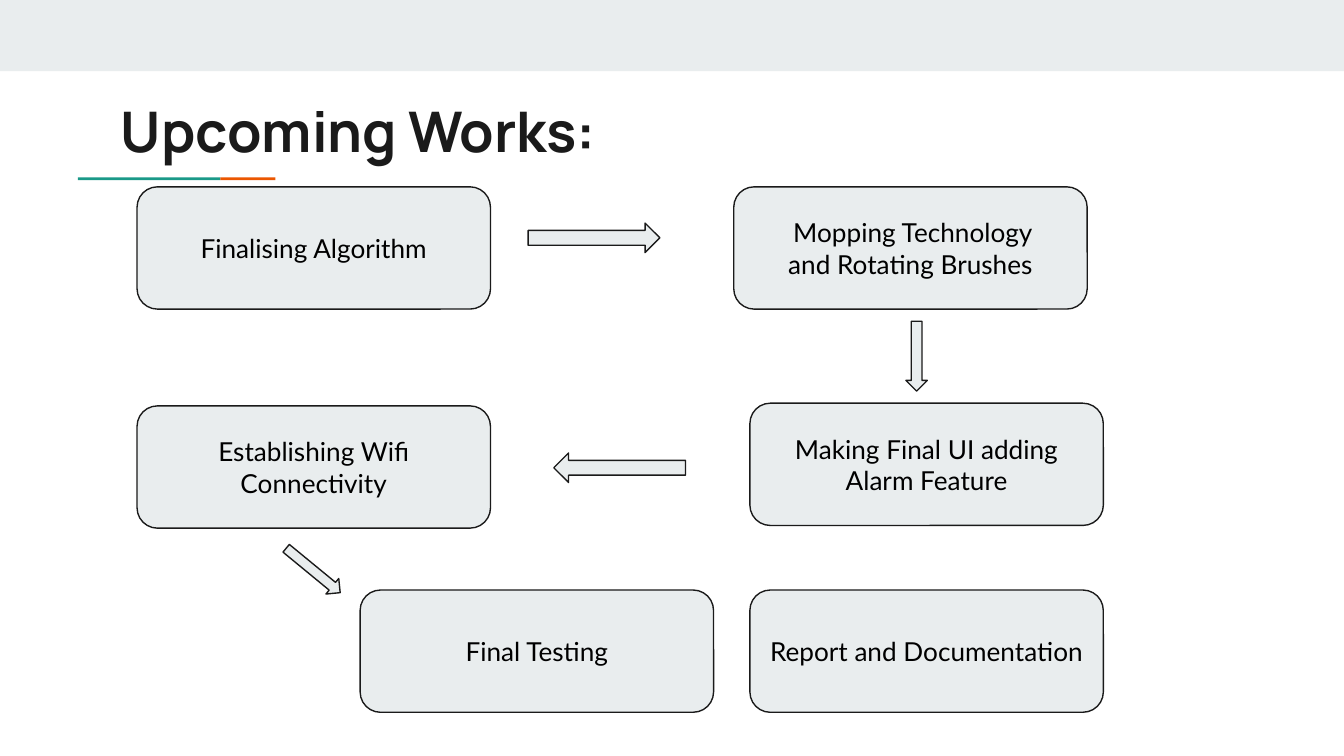
from pptx import Presentation
from pptx import util as u
from pptx.dml.color import RGBColor
from pptx.enum import shapes, text

INK = RGBColor(0x1A, 0x1A, 0x1A)
BLACK = RGBColor(0, 0, 0)
MIST = RGBColor(0xE9, 0xED, 0xEE)
TEAL = RGBColor(0x1A, 0x99, 0x88)
ORANGE = RGBColor(0xEB, 0x56, 0x00)

STEP_SIZE = (2.63, 0.91)
LEFT, RIGHT = 1.02, 5.58
STEPS = [
    (LEFT, 1.39, "Finalising Algorithm"),
    (5.46, 1.39, "Mopping Technology\nand Rotating Brushes"),
    (RIGHT, 3.0, "Making Final UI adding Alarm Feature"),
    (LEFT, 3.02, "Establishing Wifi Connectivity"),
    (2.68, 4.39, "Final Testing"),
    (RIGHT, 4.39, "Report and Documentation"),
]
ARROWS = [
    (3.93, 1.66, 0.98, 0.22, 0),
    (6.56, 2.57, 0.52, 0.16, 90),
    (4.12, 3.37, 0.98, 0.22, 180),
    (2.07, 4.17, 0.52, 0.15, 39.4),
]


def add_block(page, kind, box, fill, outlined=False):
    """Add a filled preset shape in box, with or without an outline."""
    block = page.shapes.add_shape(kind, *map(u.Inches, box))
    block.shadow.inherit = False
    block.fill.solid()
    block.fill.fore_color.rgb = fill
    if outlined:
        block.line.color.rgb = INK
        block.line.width = u.Pt(0.75)
    else:
        block.line.fill.background()
    return block


def set_insets(frame):
    """Give a text frame equal insets and wrapping."""
    frame.word_wrap = True
    frame.margin_left = frame.margin_right = u.Inches(0.1)
    frame.margin_top = frame.margin_bottom = u.Inches(0.1)


def add_header(page, left, top, width):
    """Draw the top band, the two-colour rule and the title."""
    rectangle = shapes.MSO_SHAPE.RECTANGLE
    add_block(page, rectangle, (left, top, width, 0.53), MIST)
    rule_top = top + 1.32
    add_block(page, rectangle, (left + 0.58, rule_top, 1.06, 0.02), TEAL)
    add_block(page, rectangle, (left + 1.64, rule_top, 0.41, 0.02), ORANGE)

    title = page.shapes.title
    title.left, title.top = u.Inches(left + 0.8), u.Inches(top + 0.62)
    title.width, title.height = u.Inches(8.41), u.Inches(0.59)
    frame = title.text_frame
    frame.text = "Upcoming Works:"
    set_insets(frame)
    frame.auto_size = text.MSO_AUTO_SIZE.NONE
    frame.vertical_anchor = text.MSO_ANCHOR.TOP
    para = frame.paragraphs[0]
    para.alignment = text.PP_ALIGN.LEFT
    font = para.runs[0].font
    font.name, font.size, font.bold = "Manrope", u.Pt(30), True
    font.color.rgb = INK


def add_step(page, left, top, label):
    """Draw one rounded step; the first of two lines is set left, indented."""
    kind = shapes.MSO_SHAPE.ROUNDED_RECTANGLE
    step = add_block(page, kind, (left, top, *STEP_SIZE), MIST, True)
    frame = step.text_frame
    set_insets(frame)
    frame.vertical_anchor = text.MSO_ANCHOR.MIDDLE
    frame.text = label
    for para in frame.paragraphs:
        para.alignment = text.PP_ALIGN.CENTER
        font = para.runs[0].font
        font.name, font.size = "Lato", u.Pt(14)
        font.color.rgb = BLACK
    if len(frame.paragraphs) > 1:
        first = frame.paragraphs[0]
        first.alignment = text.PP_ALIGN.LEFT
        first._p.get_or_add_pPr().set("marL", str(u.Inches(0.3)))


def add_arrow(page, left, top, width, height, angle):
    """Draw one block arrow turned by angle."""
    kind = shapes.MSO_SHAPE.RIGHT_ARROW
    arrow = add_block(page, kind, (left, top, width, height), MIST, True)
    arrow.rotation = angle


def main():
    """Build the slide and save it."""
    deck = Presentation()
    deck.slide_width = u.Inches(10)
    deck.slide_height = deck.slide_width * 9 // 16
    page = deck.slides.add_slide(deck.slide_layouts[5])
    add_header(page, 0, 0, 10)
    for step in STEPS:
        add_step(page, *step)
    for arrow in ARROWS:
        add_arrow(page, *arrow)
    deck.save("out.pptx")


if __name__ == "__main__":
    main()
